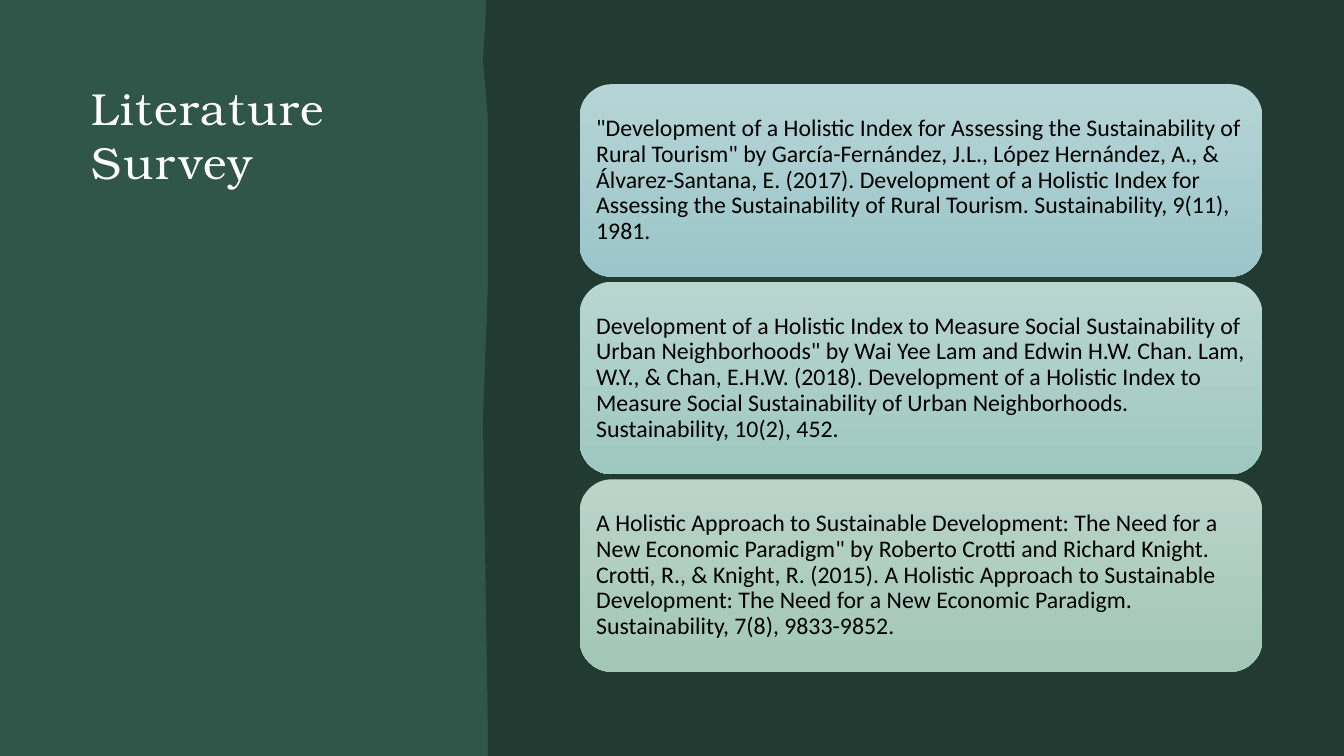
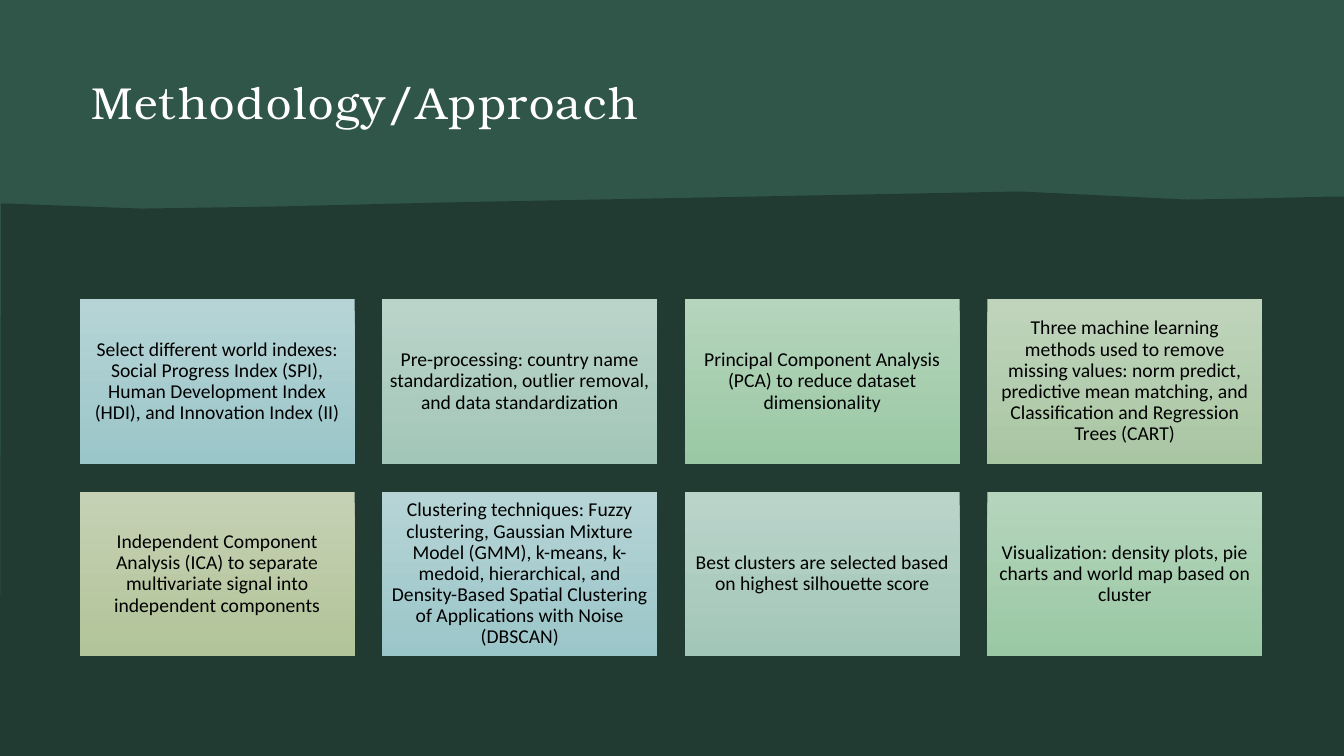
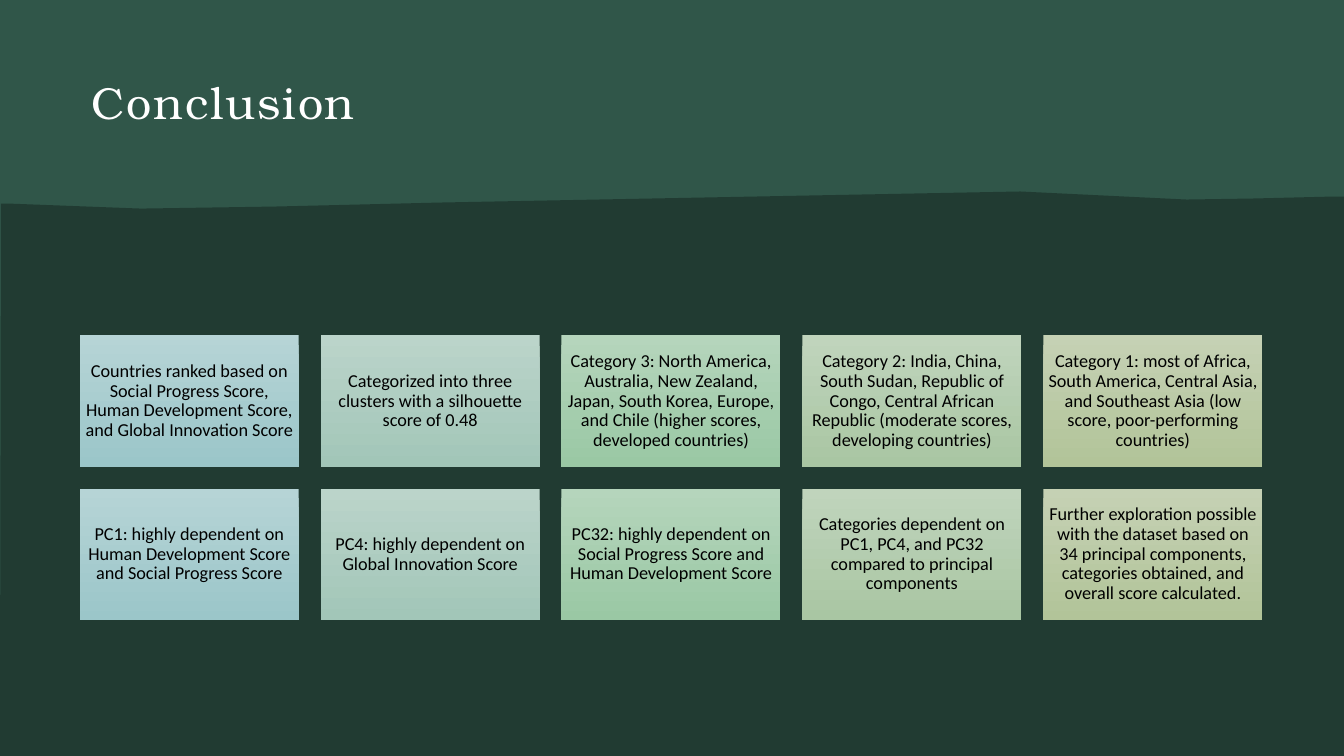
from pptx import Presentation
from pptx.dml.color import RGBColor
from pptx.enum.shapes import MSO_SHAPE as Shape
from pptx.enum.text import MSO_ANCHOR as Anchor, MSO_AUTO_SIZE as AutoSize, PP_ALIGN as Align
from pptx.util import Inches, Pt

WIDTH, HEIGHT = 13.33, 7.5
LEFT, CONTENT_WIDTH = 0.79, 11.73

DARK_GREEN = RGBColor(0x21, 0x3B, 0x32)
MID_GREEN = RGBColor(0x30, 0x56, 0x49)
WHITE = RGBColor(0xFF, 0xFF, 0xFF)
BLACK = RGBColor(0x00, 0x00, 0x00)

# Each card colour is a gradient: top, bottom
BLUE = RGBColor(0xB6, 0xD4, 0xD6), RGBColor(0x9B, 0xC6, 0xC9)
AQUA = RGBColor(0xB9, 0xD5, 0xD0), RGBColor(0x9F, 0xC8, 0xC1)
TEAL = RGBColor(0xBB, 0xD4, 0xCA), RGBColor(0xA2, 0xC6, 0xB8)
GREEN = RGBColor(0xB5, 0xD5, 0xBC), RGBColor(0x9A, 0xC8, 0xA4)
SAGE = RGBColor(0xC0, 0xD4, 0xBC), RGBColor(0xA9, 0xC6, 0xA3)
OLIVE = RGBColor(0xC5, 0xD1, 0xB4), RGBColor(0xB2, 0xC4, 0x99)
STACK_COLOURS = [BLUE, AQUA, TEAL]
GRID_COLOURS = [BLUE, TEAL, GREEN, SAGE, OLIVE]

# Outlines of the dark area, with its uneven edge
DARK_RIGHT = [
    (4.82, 0), (WIDTH, 0), (WIDTH, HEIGHT), (4.84, HEIGHT), (4.84, 7.29), (4.79, 4.17),
    (4.84, 2.81), (4.84, 1.18), (4.82, 0.93), (4.79, 0.6), (4.82, 0.11),
]
DARK_BELOW = [
    (10.12, 1.9), (11.77, 1.98), (12.43, 1.97), (13.23, 1.95), (WIDTH, 1.95),
    (WIDTH, HEIGHT), (0, HEIGHT), (0.01, 2.02), (0.08, 2.02), (1.4, 2.07),
    (2.72, 2.05), (3.54, 2.03), (4.36, 2.01),
]

SURVEY = [
    '"Development of a Holistic Index for Assessing the Sustainability of Rural Tourism" by '
    "García-Fernández, J.L., López Hernández, A., & Álvarez-Santana, E. (2017). Development of "
    "a Holistic Index for Assessing the Sustainability of Rural Tourism. Sustainability, 9(11), 1981.",
    'Development of a Holistic Index to Measure Social Sustainability of Urban Neighborhoods" by '
    "Wai Yee Lam and Edwin H.W. Chan. Lam, W.Y., & Chan, E.H.W. (2018). Development of a Holistic "
    "Index to Measure Social Sustainability of Urban Neighborhoods. Sustainability, 10(2), 452.",
    'A Holistic Approach to Sustainable Development: The Need for a New Economic Paradigm" by '
    "Roberto Crotti and Richard Knight. Crotti, R., & Knight, R. (2015). A Holistic Approach to "
    "Sustainable Development: The Need for a New Economic Paradigm. Sustainability, 7(8), 9833-9852.",
]
METHODS = [
    "Select different world indexes: Social Progress Index (SPI), Human Development Index (HDI), "
    "and Innovation Index (II)",
    "Pre-processing: country name standardization, outlier removal, and data standardization",
    "Principal Component Analysis (PCA) to reduce dataset dimensionality",
    "Three machine learning methods used to remove missing values: norm predict, predictive mean "
    "matching, and Classification and Regression Trees (CART)",
    "Independent Component Analysis (ICA) to separate multivariate signal into independent components",
    "Clustering techniques: Fuzzy clustering, Gaussian Mixture Model (GMM), k-means, k-medoid, "
    "hierarchical, and Density-Based Spatial Clustering of Applications with Noise (DBSCAN)",
    "Best clusters are selected based on highest silhouette score",
    "Visualization: density plots, pie charts and world map based on cluster",
]
FINDINGS = [
    "Countries ranked based on Social Progress Score, Human Development Score, and Global Innovation Score",
    "Categorized into three clusters with a silhouette score of 0.48",
    "Category 3: North America, Australia, New Zealand, Japan, South Korea, Europe, and Chile "
    "(higher scores, developed countries)",
    "Category 2: India, China, South Sudan, Republic of Congo, Central African Republic "
    "(moderate scores, developing countries)",
    "Category 1: most of Africa, South America, Central Asia, and Southeast Asia "
    "(low score, poor-performing countries)",
    "PC1: highly dependent on Human Development Score and Social Progress Score",
    "PC4: highly dependent on Global Innovation Score",
    "PC32: highly dependent on Social Progress Score and Human Development Score",
    "Categories dependent on PC1, PC4, and PC32 compared to principal components",
    "Further exploration possible with the dataset based on 34 principal components, "
    "categories obtained, and overall score calculated.",
]


def paint(shape, colour):
    shape.shadow.inherit = False
    shape.line.fill.background()
    shape.fill.solid()
    shape.fill.fore_color.rgb = colour


def set_margins(frame, left, top, right, bottom):
    frame.margin_left, frame.margin_top = Inches(left), Inches(top)
    frame.margin_right, frame.margin_bottom = Inches(right), Inches(bottom)


def add_page(deck, heading, dark_outline, title_width, title_height, line_spacing):
    page = deck.slides.add_slide(deck.slide_layouts[5])
    panel = page.shapes.add_shape(Shape.RECTANGLE, 0, 0, Inches(WIDTH), Inches(HEIGHT))
    paint(panel, MID_GREEN)

    points = [(Inches(x), Inches(y)) for x, y in dark_outline]
    builder = page.shapes.build_freeform(*points[0])
    builder.add_line_segments(points[1:], close=True)
    paint(builder.convert_to_shape(), DARK_GREEN)

    title = page.shapes.title
    title.left, title.top = Inches(LEFT), Inches(0.68)
    title.width, title.height = Inches(title_width), Inches(title_height)
    frame = title.text_frame
    frame.text = heading
    frame.auto_size = AutoSize.NONE
    frame.vertical_anchor = Anchor.TOP
    set_margins(frame, 0.12, 0.12, 0.12, 0.1)
    para = frame.paragraphs[0]
    para.alignment = Align.LEFT
    para.line_spacing = line_spacing
    para.font.name, para.font.size = "TeX Gyre Bonum", Pt(32)
    para.font.color.rgb = WHITE
    para.runs[0]._r.get_or_add_rPr().set("spc", "130")
    page.shapes._spTree.append(title._element)  # bring in front of the panel
    return page


def add_card(page, preset, text, colours, box, size, margin, align):
    card = page.shapes.add_shape(preset, *(Inches(length) for length in box))
    card.shadow.inherit = False
    card.line.fill.background()
    card.fill.gradient()
    card.fill.gradient_angle = 270  # downwards
    for stop, colour in zip(card.fill.gradient_stops, colours):
        stop.color.rgb = colour
    frame = card.text_frame
    frame.text = text
    frame.word_wrap = True
    frame.vertical_anchor = Anchor.MIDDLE
    set_margins(frame, *[margin] * 4)
    para = frame.paragraphs[0]
    para.alignment = align
    para.line_spacing = 0.9
    para.font.name, para.font.size = "Calibri", Pt(size)
    para.font.color.rgb = BLACK


def add_stack(page, texts):
    """One column of rounded cards, centred on the height of the slide."""
    left, width, height, gap = 5.75, 6.77, 1.91, 0.05
    top = (HEIGHT - len(texts) * (height + gap) + gap) / 2
    for row, (text, colours) in enumerate(zip(texts, STACK_COLOURS)):
        box = left, top + row * (height + gap), width, height
        add_card(page, Shape.ROUNDED_RECTANGLE, text, colours, box, 17, 0.07, Align.LEFT)


def add_grid(page, texts, columns, size, margin):
    """Two rows of cards; the gap is a tenth of a card's width."""
    width = CONTENT_WIDTH / (columns + (columns - 1) / 10)
    height, gap = 0.6 * width, 0.1 * width
    top = 4.74 - height - gap / 2
    for index, text in enumerate(texts):
        row, column = divmod(index, columns)
        box = LEFT + column * (width + gap), top + row * (height + gap), width, height
        colours = GRID_COLOURS[index % len(GRID_COLOURS)]
        add_card(page, Shape.RECTANGLE, text, colours, box, size, margin, Align.CENTER)


def main():
    deck = Presentation()
    deck.slide_width, deck.slide_height = Inches(WIDTH), Inches(HEIGHT)
    background = deck.slide_master.background.fill
    background.solid()
    background.fore_color.rgb = DARK_GREEN

    add_stack(add_page(deck, "Literature Survey", DARK_RIGHT, 3.4, 6.03, 1.0), SURVEY)
    for heading, texts, columns, size, margin in [
        ("Methodology/Approach", METHODS, 4, 14, 0.06),
        ("Conclusion", FINDINGS, 5, 13, 0.05),
    ]:
        page = add_page(deck, heading, DARK_BELOW, CONTENT_WIDTH, 0.75, 0.9)
        add_grid(page, texts, columns, size, margin)
    deck.save("out.pptx")


if __name__ == "__main__":
    main()
